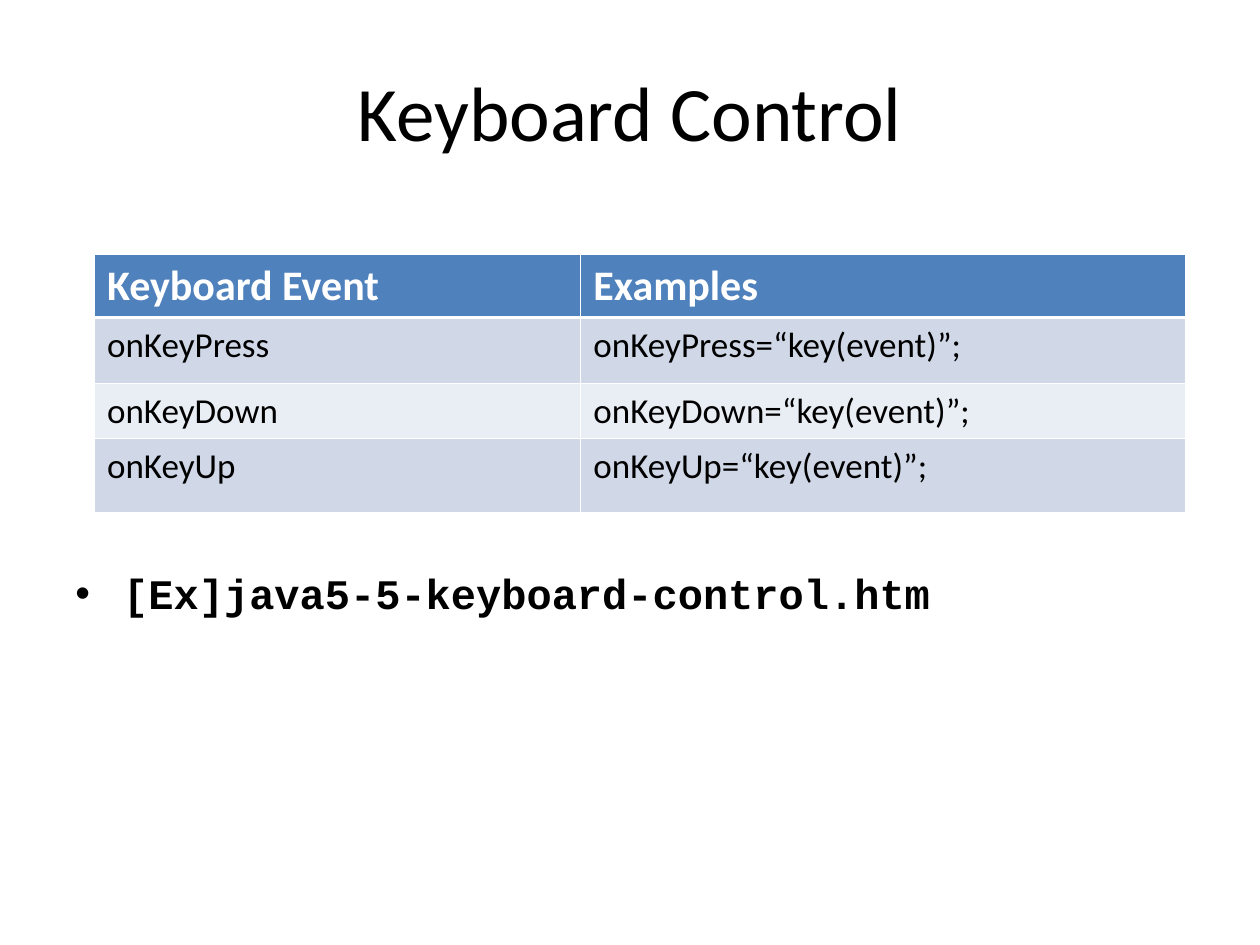
from pptx import Presentation
from pptx.dml.color import RGBColor
from pptx.enum.text import MSO_ANCHOR, PP_ALIGN
from pptx.oxml.ns import qn
from pptx.util import Inches, Pt
from lxml.etree import SubElement

BLACK = RGBColor(0x00, 0x00, 0x00)
WHITE = RGBColor(0xFF, 0xFF, 0xFF)
BLUE = RGBColor(0x4F, 0x81, 0xBD)
BAND_DARK = RGBColor(0xD0, 0xD8, 0xE8)
BAND_LIGHT = RGBColor(0xE9, 0xED, 0xF4)

EVENTS = ["onKeyPress", "onKeyDown", "onKeyUp"]


class Deck:
    """Slide style and elements, placed on a grid of 40 columns by 30 rows."""

    BODY, CODE = "Calibri", "Courier New"
    THIN, THICK = 0.45, 1.47

    def __init__(self):
        self.prs = Presentation()
        self.prs.slide_width, self.prs.slide_height = Inches(10), Inches(7.5)
        self.s = self.prs.slides.add_slide(self.prs.slide_layouts[6])

    def x(self, columns):
        return round(self.prs.slide_width * columns / 40)

    def y(self, rows):
        return round(self.prs.slide_height * rows / 30)

    def style(self, p, size, color=BLACK, bold=False, font=BODY):
        for r in p.runs:
            r.font.name, r.font.size, r.font.bold = font, Pt(size), bold
            r.font.color.rgb = color

    def text(self, text, col, row, cols, rows, size, **look):
        sp = self.s.shapes.add_textbox(self.x(col), self.y(row), self.x(cols), self.y(rows))
        tf = sp.text_frame
        tf.word_wrap = True
        tf.text = text
        p = tf.paragraphs[0]
        p.line_spacing = 0.9
        self.style(p, size, **look)
        return tf

    def title(self, text, *place):
        tf = self.text(text, *place, size=44)
        tf.vertical_anchor = MSO_ANCHOR.MIDDLE
        tf.paragraphs[0].alignment = PP_ALIGN.CENTER

    def bullet(self, text, *place):
        tf = self.text(text, *place, size=24, bold=True, font=self.CODE)
        pPr = tf.paragraphs[0]._p.get_or_add_pPr()
        pPr.set("marL", str(Inches(0.38)))
        pPr.set("indent", str(-Inches(0.38)))
        SubElement(pPr, qn("a:buFont"), typeface="Arial")
        SubElement(pPr, qn("a:buChar"), char="•")

    def border(self, cell, side, width):
        ln = SubElement(cell._tc.get_or_add_tcPr(), qn(f"a:ln{side}"), w=str(Pt(width)))
        SubElement(SubElement(ln, qn("a:solidFill")), qn("a:srgbClr"), val=str(WHITE))

    def cell(self, cell, text, row):
        cell.text = text
        header = row == 0
        self.style(cell.text_frame.paragraphs[0], 24 if header else 20,
                   WHITE if header else BLACK, header)
        for side in "LRTB":
            under_header = (side, row) in (("B", 0), ("T", 1))
            self.border(cell, side, self.THICK if under_header else self.THIN)
        cell.fill.solid()
        cell.fill.fore_color.rgb = BLUE if header else BAND_DARK if row % 2 else BAND_LIGHT

    def table(self, data, col, row, widths, heights):
        table = self.s.shapes.add_table(
            len(heights), len(widths), self.x(col), self.y(row),
            self.x(sum(widths)), self.y(sum(heights))).table
        for column, width in zip(table.columns, widths):
            column.width = self.x(width)
        for i, (line, height) in enumerate(zip(data, heights)):
            table.rows[i].height = self.y(height)
            for j, text in enumerate(line):
                self.cell(table.cell(i, j), text, i)


def main():
    deck = Deck()
    deck.title("Keyboard Control", 2, 1.2, 36, 5)
    deck.bullet("[Ex]java5-5-keyboard-control.htm", 2, 18, 36, 8.8)
    data = [("Keyboard Event", "Examples")] + [(e, f"{e}=“key(event)”;") for e in EVENTS]
    deck.table(data, 3, 8.08, [15.44, 19.2], [2, 2.1, 1.74, 2.34])
    deck.prs.save("out.pptx")


if __name__ == "__main__":
    main()
